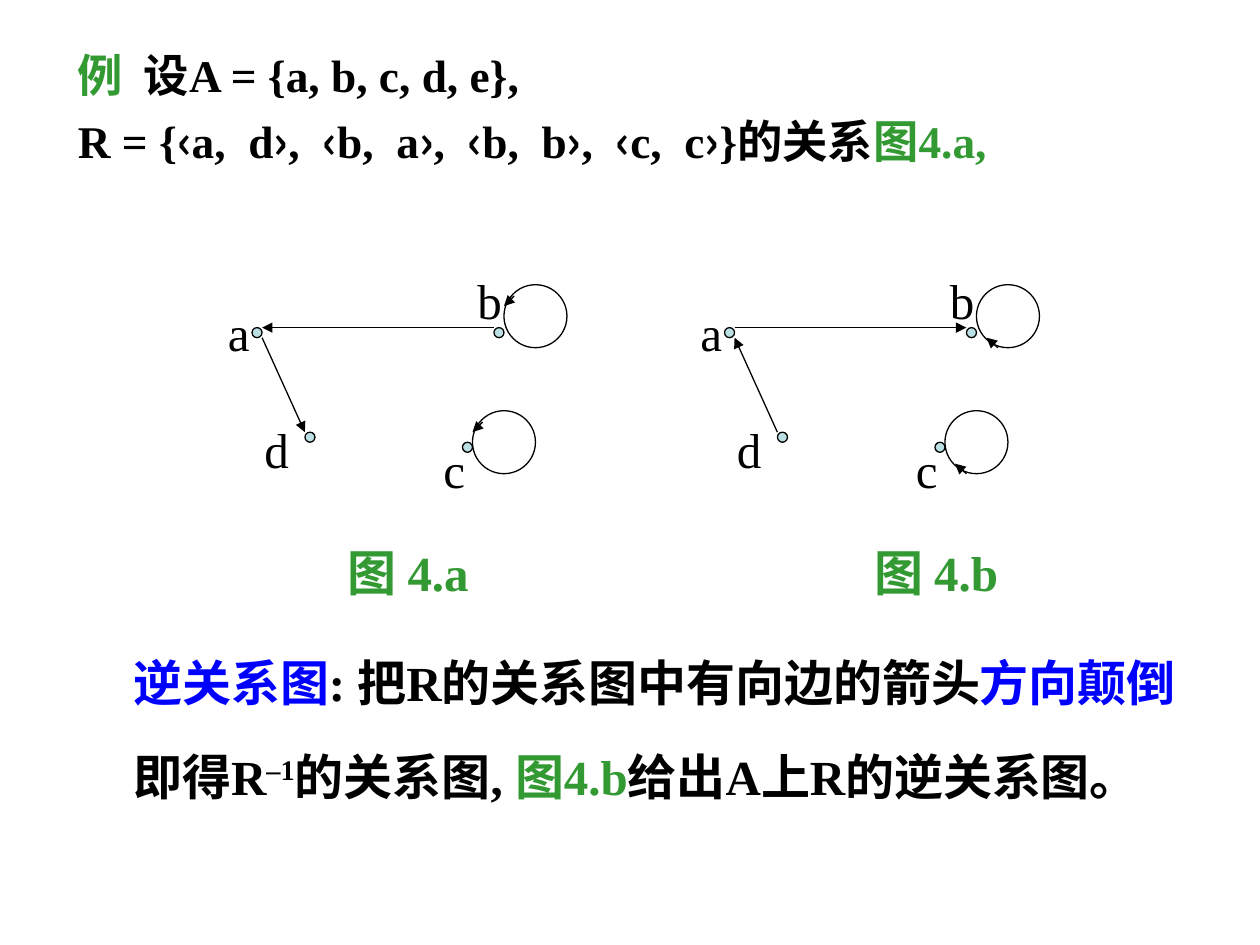
from lxml.etree import SubElement
from pptx import Presentation
from pptx.dml.color import RGBColor
from pptx.enum.shapes import MSO_CONNECTOR, MSO_SHAPE
from pptx.enum.text import MSO_AUTO_SIZE
from pptx.oxml.ns import qn
from pptx.util import Inches, Pt

COLORS = {"text": "000000", "figure": "339933", "term": "0000FF",
          "node": "BBE0E3", "line": "000000"}
FONT = "Times New Roman"

# Paragraphs are lists of runs: (text, colour[, baseline in percent])
EXAMPLE = [
    [("例 ", "figure"), (" 设A = {a, b, c, d, e},", "text")],
    [("R = {‹a,  d›,  ‹b,  a›,  ‹b,  b›,  ‹c,  c›}的关系", "text"),
     ("图4.a,", "figure")],
]
INVERSE = [[
    ("逆关系图", "term"), (": 把R的关系图中有向边的箭头", "text"),
    ("方向颠倒", "term"), ("即得R", "text"), ("–1", "text", 30),
    ("的关系图, ", "text"), ("图4.b", "figure"),
    ("给出A上R的逆关系图。", "text"),
]]

# Positions in inches, relative to the left edge of each graph
NODE_SIZE, LOOP_SIZE = 0.08, 0.5
NODES = {"a": (0.29, 2.6), "b": (2.21, 2.6), "c": (1.96, 3.51), "d": (0.71, 3.43)}
LABELS = {"a": (0, 2.35), "b": (1.98, 2.1), "c": (1.71, 3.44), "d": (0.29, 3.28)}
EDGES = [((2.21, 2.6), (0.37, 2.6)), ((0.37, 2.68), (0.71, 3.43))]
LOOPS = [(2.29, 2.26), (2.04, 3.26)]
# Graph left edge, reversed edges, loop arrow (start, end), caption, caption left
GRAPHS = [
    (1.71, False, ((0.08, 0.09), (0, 0.17)), "图 4.a", 2.66),
    (5.46, True, ((0.17, 0.5), (0.08, 0.42)), "图 4.b", 6.84),
]


def color(name):
    return RGBColor.from_string(COLORS[name])


def add_text(slide, box, paragraphs, size, bold=True, wrap=True, spacing=(1,), hanging=0):
    frame = slide.shapes.add_textbox(*map(Inches, box)).text_frame
    frame.word_wrap = wrap
    if not wrap:
        frame.auto_size = MSO_AUTO_SIZE.SHAPE_TO_FIT_TEXT
    for index, runs in enumerate(paragraphs):
        paragraph = frame.paragraphs[0] if index == 0 else frame.add_paragraph()
        paragraph.line_spacing = spacing[index]
        if index:
            paragraph.space_before = Pt(7)
        if hanging:
            properties = paragraph._p.get_or_add_pPr()
            properties.set("marL", str(Inches(hanging)))
            properties.set("indent", str(-Inches(hanging)))
        for text, tone, *baseline in runs:
            run = paragraph.add_run()
            run.text = text
            for name, value in {"name": FONT, "size": Pt(size), "bold": bold}.items():
                setattr(run.font, name, value)
            run.font.color.rgb = color(tone)
            if baseline:
                run._r.get_or_add_rPr().set("baseline", str(baseline[0] * 1000))


def add_circle(slide, corner, size, fill=None):
    circle = slide.shapes.add_shape(
        MSO_SHAPE.OVAL, *map(Inches, (*corner, size, size)))
    circle.shadow.inherit = False
    if fill:
        circle.fill.solid()
        circle.fill.fore_color.rgb = color(fill)
    else:
        circle.fill.background()
    circle.line.color.rgb = color("line")
    circle.line.width = Pt(0.75)


def add_arrow(slide, start, end):
    arrow = slide.shapes.add_connector(
        MSO_CONNECTOR.STRAIGHT, *map(Inches, (*start, *end)))
    arrow.line.color.rgb = color("line")
    arrow.line.width = Pt(0.75)
    SubElement(arrow.line._get_or_add_ln(), qn("a:tailEnd"), type="triangle")
    SubElement(arrow._element.spPr, qn("a:effectLst"))


def add_graph(slide, left, is_reversed, loop_arrow):
    def place(point):
        return left + point[0], point[1]

    for corner in NODES.values():
        add_circle(slide, place(corner), NODE_SIZE, "node")
    for edge in EDGES:
        start, end = reversed(edge) if is_reversed else edge
        add_arrow(slide, place(start), place(end))
    for loop in LOOPS:
        add_circle(slide, place(loop), LOOP_SIZE)
        add_arrow(slide, *(place((loop[0] + dx, loop[1] + dy)) for dx, dy in loop_arrow))
    for letter, corner in LABELS.items():
        add_text(slide, (*place(corner), 0.38, 0.57), [[(letter, "text")]], 28,
                 bold=False, wrap=False)


def main():
    presentation = Presentation()
    presentation.slide_width, presentation.slide_height = Inches(10), Inches(7.5)
    slide = presentation.slides.add_slide(presentation.slide_layouts[6])
    add_text(slide, (0.52, 0.28, 8.8, 1.58), EXAMPLE, 25.9,
             spacing=(1.1, 1), hanging=0.29)
    add_text(slide, (0.96, 4.85, 8.77, 2.3), INVERSE, 28, spacing=(1.6,))
    for left, is_reversed, loop_arrow, caption, caption_left in GRAPHS:
        add_graph(slide, left, is_reversed, loop_arrow)
        add_text(slide, (caption_left, 4.26, 1.5, 0.57), [[(caption, "figure")]], 28)
    presentation.save("out.pptx")


if __name__ == "__main__":
    main()
